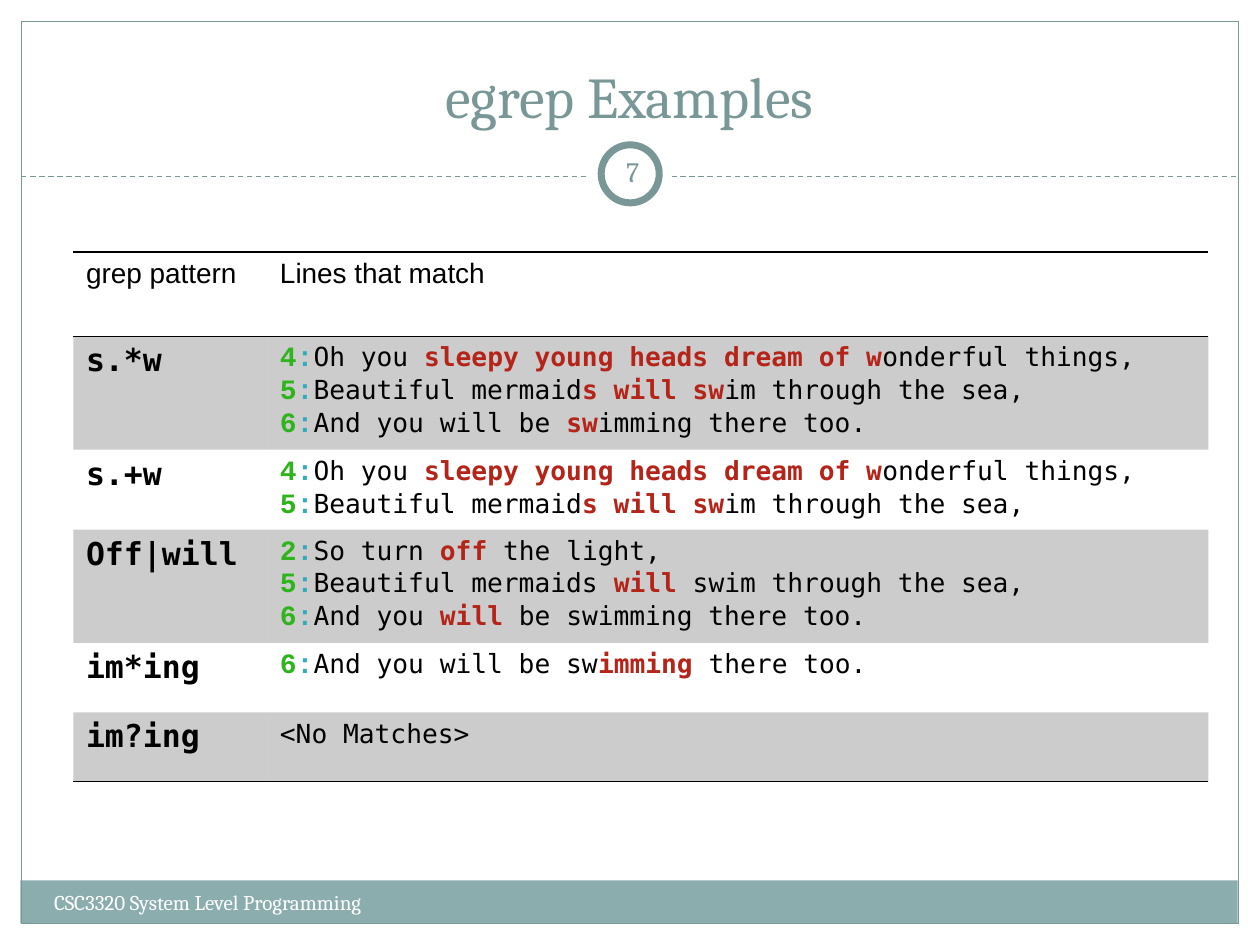
from lxml.etree import SubElement
from pptx import Presentation
from pptx.dml.color import RGBColor
from pptx.enum.dml import MSO_LINE_DASH_STYLE as Dash
from pptx.enum.shapes import MSO_CONNECTOR as Connector, MSO_SHAPE as Shape
from pptx.enum.text import MSO_ANCHOR as Anchor, PP_ALIGN as Align
from pptx.oxml import parse_xml
from pptx.oxml.ns import qn
from pptx.util import Cm, Pt

TEAL, BAR, WHITE, BLACK = "7A9798", "8CADAE", "FFFFFF", "000000"
DRAWING = "http://schemas.openxmlformats.org/drawingml/2006/main"
NO_STYLE = "{2D5ABB26-0587-4C30-8999-92F81FD0307C}"

# Run formats
HEADING = {"size": Pt(16), "name": "Arial", "bold": False, "color": BLACK}
PATTERN = {"size": Pt(18), "name": "DejaVu Sans Mono", "bold": True, "color": BLACK}
NUMBER = {"size": Pt(16), "name": "Courier New", "bold": True, "color": "2FB41D"}
COLON = {**NUMBER, "color": "2EAEBB"}
PLAIN = {**PATTERN, "size": Pt(15), "bold": False}
MATCH = {**PLAIN, "bold": True, "color": "B42419"}

# Matched text stands between asterisks
DREAM = "4:Oh you *sleepy young heads dream of w*onderful things,"
MERMAIDS = "5:Beautiful mermaid*s will sw*im through the sea,"
EXAMPLES = [
    ("s.*w", [DREAM, MERMAIDS, "6:And you will be *sw*imming there too."]),
    ("s.+w", [DREAM, MERMAIDS]),
    ("Off|will", ["2:So turn *off* the light,",
                  "5:Beautiful mermaids *will* swim through the sea,",
                  "6:And you *will* be swimming there too."]),
    ("im*ing", ["6:And you will be sw*imming* there too."]),
    ("im?ing", ["<No Matches>"]),
]


def rgb(value):
    return RGBColor.from_string(value)


def add_run(paragraph, text, formats):
    run = paragraph.add_run()
    run.text = text
    for name, value in formats.items():
        if name == "color":
            run.font.color.rgb = rgb(value)
        else:
            setattr(run.font, name, value)


def add_box(slide, kind, box, fill=None, line=None, width=0.75):
    shape = slide.shapes.add_shape(kind, *map(Cm, box))
    shape.shadow.inherit = False
    if fill:
        shape.fill.solid()
        shape.fill.fore_color.rgb = rgb(fill)
    else:
        shape.fill.background()
    if line:
        shape.line.color.rgb = rgb(line)
        shape.line.width = Pt(width)
    else:
        shape.line.fill.background()


def add_dashed_line(slide, left, right, top):
    line = slide.shapes.add_connector(Connector.STRAIGHT, Cm(left), Cm(top), Cm(right), Cm(top))
    line.line.color.rgb = rgb(TEAL)
    line.line.width = Pt(0.75)
    line.line.dash_style = Dash.DASH
    SubElement(line._element.spPr, qn("a:effectLst"))


def add_text(slide, box, text, size, color, align=Align.LEFT, anchor=Anchor.TOP, inset=0.25):
    frame = slide.shapes.add_textbox(*map(Cm, box)).text_frame
    settings = {"word_wrap": True, "vertical_anchor": anchor,
                "margin_left": Cm(inset), "margin_right": Cm(inset)}
    for name, value in settings.items():
        setattr(frame, name, value)
    paragraph = frame.paragraphs[0]
    paragraph.alignment = align
    add_run(paragraph, text, {"size": Pt(size), "name": "Cambria", "color": color})


def add_output_line(paragraph, text):
    number, colon, rest = text.rpartition(":")
    if colon:
        add_run(paragraph, number, NUMBER)
        add_run(paragraph, colon, COLON)
    for index, part in enumerate(rest.split("*")):
        add_run(paragraph, part, MATCH if index % 2 else PLAIN)


def style_cell(cell, shaded, borders):
    if shaded:
        cell.fill.solid()
        cell.fill.fore_color.rgb = rgb(BLACK)
        color = cell._tc.tcPr.find(".//" + qn("a:srgbClr"))
        SubElement(color, qn("a:alpha"), val="20000")
    else:
        cell.fill.background()
    for index, side in enumerate(borders):
        cell._tc.tcPr.insert(index, parse_xml(
            f'<a:ln{side} xmlns:a="{DRAWING}" w="{Pt(1)}"><a:solidFill>'
            f'<a:srgbClr val="{BLACK}"/></a:solidFill></a:ln{side}>'))


def add_examples_table(slide):
    count = len(EXAMPLES) + 1
    shape = slide.shapes.add_table(count, 2, Cm(1.48), Cm(5.08), Cm(22.88), Cm(8.7))
    table = shape.table
    table.first_row = table.horz_banding = False
    table._tbl.tblPr.find(qn("a:tableStyleId")).text = NO_STYLE
    for column, width in zip(table.columns, (3.91, 18.97)):
        column.width = Cm(width)
    for index, row in enumerate(table.rows):
        row.height = Cm(1.4 if index else 1.7)
        borders = "TB" if index == 0 else "B" if index == count - 1 else ""
        for cell in row.cells:
            style_cell(cell, index % 2 == 1, borders)

    # Header row
    for column, heading in enumerate(("grep pattern", "Lines that match")):
        add_run(table.cell(0, column).text_frame.paragraphs[0], heading, HEADING)

    # Patterns with their matching lines
    for row, (pattern, lines) in enumerate(EXAMPLES, start=1):
        add_run(table.cell(row, 0).text_frame.paragraphs[0], pattern, PATTERN)
        frame = table.cell(row, 1).text_frame
        for index, line in enumerate(lines):
            add_output_line(frame.add_paragraph() if index else frame.paragraphs[0], line)


def main():
    presentation = Presentation()
    presentation.slide_width, presentation.slide_height = Cm(25.4), Cm(19.05)
    slide = presentation.slides.add_slide(presentation.slide_layouts[6])

    # Margins, footer bar and frame
    for box in ((0, 0, 25.4, 3.86), (0, 0, 0.43, 19.05), (24.97, 0, 0.43, 19.05)):
        add_box(slide, Shape.RECTANGLE, box, WHITE)
    add_box(slide, Shape.RECTANGLE, (0.41, 17.75, 24.54, 0.86), BAR)
    add_box(slide, Shape.RECTANGLE, (0.43, 0.43, 24.54, 18.19), line=TEAL)

    # Divider with the number ring
    add_dashed_line(slide, 0.43, 24.97, 3.56)
    add_box(slide, Shape.OVAL, (11.85, 2.67, 1.7, 1.7), WHITE)
    add_box(slide, Shape.OVAL, (12.12, 2.92, 1.17, 1.17), WHITE, TEAL, 4)

    # Title, footer and slide number
    add_text(slide, (0.84, 0.64, 23.7, 2.11), "egrep Examples", 33, TEAL,
             Align.CENTER, Anchor.BOTTOM)
    add_text(slide, (0.84, 17.81, 9.96, 1.02), "CSC3320 System Level Programming", 12, WHITE)
    add_text(slide, (12.12, 2.84, 1.27, 1.22), "7", 16, TEAL,
             Align.CENTER, Anchor.MIDDLE, 0.13)

    add_examples_table(slide)
    presentation.save("out.pptx")


if __name__ == "__main__":
    main()
